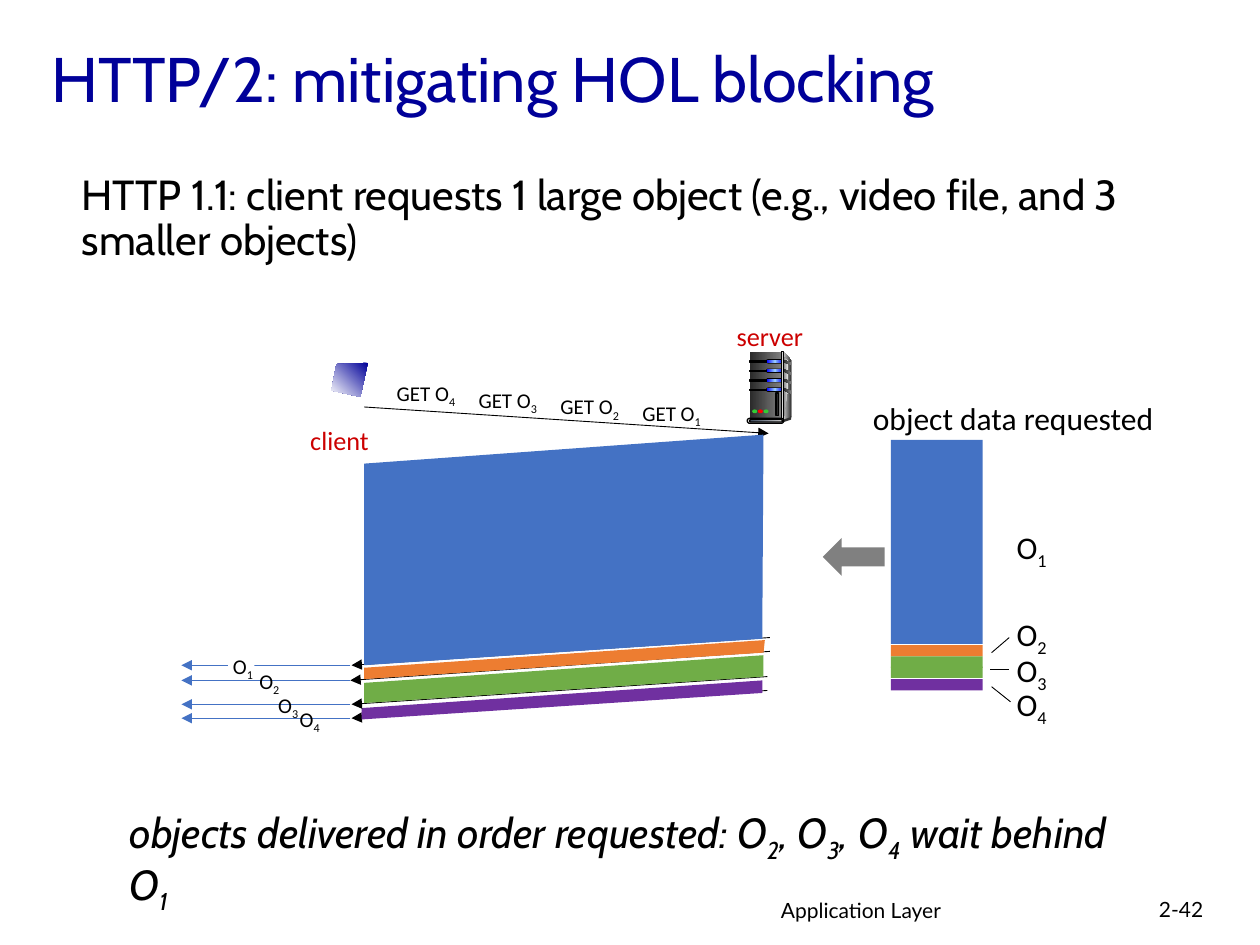
from dataclasses import dataclass
from typing import NamedTuple, Optional

from lxml.etree import SubElement
from pptx import Presentation
from pptx.dml.color import RGBColor
from pptx.enum.shapes import MSO_CONNECTOR, MSO_SHAPE
from pptx.enum.text import MSO_ANCHOR, MSO_AUTO_SIZE, PP_ALIGN
from pptx.oxml.ns import qn
from pptx.util import Inches, Pt


@dataclass(frozen=True)
class Theme:
    black: str = "000000"
    white: str = "FFFFFF"
    title: str = "000099"
    host: str = "CC0000"
    blue: str = "4472C4"
    orange: str = "ED7D31"
    green: str = "70AD47"
    purple: str = "7030A0"
    gray: str = "808080"
    metal: str = "DDDDDD"
    dark: str = "333333"
    coal: str = "292929"
    glow: tuple = ("0000FF", "99CCFF", "0000FF")
    heading: str = "Cabin"
    label: str = "Calibri"
    footer: str = "Lato"
    title_size: int = 36
    body_size: int = 24
    legend_size: int = 18
    host_size: int = 15
    small_size: int = 12


class Box(NamedTuple):
    """Left, top, width and height in grid cells."""
    left: float
    top: float
    width: float
    height: float


class Band(NamedTuple):
    """One object in transit: its arrow and its slanted outline."""
    color: str
    arrow: tuple
    outline: list


class Reply(NamedTuple):
    name: str
    line_row: float
    label_column: float


THEME = Theme()
COLUMNS, ROWS = 100, 75
WIDTH, HEIGHT = Inches(10), Inches(7.5)

presentation = Presentation()
presentation.slide_width, presentation.slide_height = WIDTH, HEIGHT
slide = presentation.slides.add_slide(presentation.slide_layouts[6])


def across(columns: float) -> int:
    return round(columns * WIDTH / COLUMNS)


def down(rows: float) -> int:
    return round(rows * HEIGHT / ROWS)


def place(box: Box) -> tuple:
    return across(box.left), down(box.top), across(box.width), down(box.height)


def paint(shape, colors, outline: Optional[str] = None, angle: float = 0) -> None:
    """Fill with one colour, or with a gradient of evenly spaced colours."""
    shape.shadow.inherit = False
    if isinstance(colors, str):
        shape.fill.solid()
        shape.fill.fore_color.rgb = RGBColor.from_string(colors)
    else:
        shape.fill.gradient()
        shape.fill.gradient_angle = angle
        stops = shape._element.spPr.find(qn("a:gradFill")).find(qn("a:gsLst"))
        for stop in list(stops):
            stops.remove(stop)
        for index, color in enumerate(colors):
            position = str(100000 * index // (len(colors) - 1))
            stop = SubElement(stops, qn("a:gs"), pos=position)
            SubElement(stop, qn("a:srgbClr"), val=color)
    if outline:
        shape.line.color.rgb = RGBColor.from_string(outline)
        shape.line.width = Pt(0.75)
    else:
        shape.line.fill.background()


def add_block(box: Box, colors, kind=MSO_SHAPE.RECTANGLE, outline: Optional[str] = None) -> None:
    shape = slide.shapes.add_shape(kind, *place(box))
    if kind == MSO_SHAPE.ROUNDED_RECTANGLE:
        shape.adjustments[0] = 0.5
    paint(shape, colors, outline)


def add_outline(points: list, colors, angle: float = 0) -> None:
    corners = [(across(x), down(y)) for x, y in points]
    builder = slide.shapes.build_freeform(*corners[0], scale=1.0)
    builder.add_line_segments(corners[1:], close=True)
    paint(builder.convert_to_shape(), colors, angle=angle)


def add_line(start: tuple, end: tuple, color: str = THEME.black, arrow: bool = True) -> None:
    connector = slide.shapes.add_connector(
        MSO_CONNECTOR.STRAIGHT, across(start[0]), down(start[1]), across(end[0]), down(end[1]))
    connector.line.color.rgb = RGBColor.from_string(color)
    connector.line.width = Pt(0.5)
    properties = connector._element.spPr
    if arrow:
        SubElement(properties.find(qn("a:ln")), qn("a:tailEnd"), type="triangle")
    SubElement(properties, qn("a:effectLst"))


def add_text(box: Box, text: str, size: int, font: str = THEME.label, color: str = THEME.black,
             wrap: bool = True, fit: bool = False):
    """Write one paragraph; the character after each underscore is a subscript."""
    frame = slide.shapes.add_textbox(*place(box)).text_frame
    frame.word_wrap = wrap
    frame.auto_size = MSO_AUTO_SIZE.SHAPE_TO_FIT_TEXT if fit else MSO_AUTO_SIZE.NONE
    paragraph = frame.paragraphs[0]
    paragraph.font.name, paragraph.font.size = font, Pt(size)
    paragraph.font.color.rgb = RGBColor.from_string(color)
    first, *others = text.split("_")
    paragraph.add_run().text = first
    for part in others:
        subscript = paragraph.add_run()
        subscript.text = part[0]
        subscript._r.get_or_add_rPr().set("baseline", "-25000")
        if part[1:]:
            paragraph.add_run().text = part[1:]
    return frame


def add_statement(box: Box, text: str, italic: bool = False) -> None:
    paragraph = add_text(box, text, THEME.body_size, THEME.heading).paragraphs[0]
    paragraph.line_spacing = 0.9
    paragraph.font.italic = italic
    paragraph._p.get_or_add_pPr().set("marL", str(Inches(0.11)))
    paragraph._p.get_or_add_pPr().set("indent", "0")


def add_host_name(box: Box, name: str) -> None:
    frame = add_text(box, name, THEME.host_size, color=THEME.host, wrap=False, fit=True)
    frame.paragraphs[0].alignment = PP_ALIGN.CENTER


def add_server() -> None:
    pill, disc, black = MSO_SHAPE.ROUNDED_RECTANGLE, MSO_SHAPE.OVAL, THEME.black
    shade = (THEME.coal, THEME.gray)
    add_outline([(62.2, 27.9), (62.8, 28.6), (62.8, 33.1), (62.1, 33.3)], (THEME.metal, THEME.dark))
    add_block(Box(59.5, 27.9, 2.6, 5.4), shade)
    add_outline([(62.2, 28.3), (62.6, 28.7), (62.5, 31), (62.2, 33.2)], (THEME.gray, "F8F8F8"))
    vents = [28.55 + 0.75 * index for index in range(4)]
    for top in vents:
        add_block(Box(59.5, top + 0.1, 1.5, 0.1), black, outline=black)
        add_block(Box(60.8, top - 0.05, 1.4, 0.35), black, pill)
        add_block(Box(60.85, top, 1.3, 0.25), THEME.glow, pill)
    add_block(Box(62, 27.9, 0.2, 5.4), (THEME.dark, THEME.metal, THEME.dark), outline=black)
    for top in vents:
        add_outline([(62.2, top), (62.8, top + 0.25), (62.8, top + 0.45), (62.2, top + 0.2)], shade)
    add_block(Box(62.7, 33, 0.1, 0.2), THEME.dark, disc)
    add_outline([(62.2, 33.3), (62.2, 33.5), (62.8, 33.3), (62.8, 33.1)], THEME.dark)
    add_block(Box(59.3, 33.2, 2.9, 0.4), THEME.metal, pill, black)
    add_block(Box(59.5, 33.3, 2.6, 0.2), ("44546A", "E7E6E6"), pill, black)
    for index, color in enumerate(("33CC33", "FF0000", "33CC33")):
        add_block(Box(59.7 + 0.45 * index, 32.5, 0.4, 0.3), color, disc)
    add_block(Box(61.6, 31.2, 0.2, 1.8), THEME.coal, outline=black)


BANDS = [
    Band(THEME.blue, ((61.1, 50.6), (27.9, 52.8)),
         [(60.6, 34.5), (28.9, 36.8), (28.9, 52.8), (60.5, 50.7)]),
    Band(THEME.orange, ((61.1, 51.7), (27.8, 54)),
         [(60.7, 50.8), (28.9, 53), (28.9, 53.9), (60.6, 51.8)]),
    Band(THEME.purple, ((60.9, 54.8), (27.9, 57)),
         [(60.5, 54), (28.7, 56.2), (28.7, 57.1), (60.5, 55)]),
    Band(THEME.green, ((60.9, 53.7), (27.9, 55.9)),
         [(60.6, 52), (28.9, 54.2), (28.9, 55.8), (60.6, 53.7)]),
]
REPLIES = [Reply("O_1", 52.8, 17.5), Reply("O_2", 54, 19.6),
           Reply("O_3", 55.9, 21.1), Reply("O_4", 57, 22.8)]
STACK = [(34.9, 16.2, THEME.blue), (51.2, 0.9, THEME.orange), (52.1, 0.9, THEME.green),
         (52.9, 0.9, THEME.green), (53.9, 0.9, THEME.purple)]
LEGEND_ROWS = [41.4, 48.3, 51.2, 53.9]
LEADERS = [((78.7, 51.8), (80.1, 50.6)), ((78.6, 53.1), (80.1, 53.1)), ((78.7, 54.5), (80.2, 55.7))]

title = add_text(Box(3.1, 2.1, 87.1, 8.1), "HTTP/2: mitigating HOL blocking",
                 THEME.title_size, THEME.heading, THEME.title)
title.vertical_anchor = MSO_ANCHOR.MIDDLE
add_statement(Box(4.4, 13.3, 92.4, 6.8),
              "HTTP 1.1: client requests 1 large object (e.g., video file, and 3 smaller objects)")

add_host_name(Box(23.6, 33.2, 6.7, 3.5), "client")
add_host_name(Box(57.4, 24.9, 7.4, 3.5), "server")
add_server()
add_outline([(29.2, 28.8), (26.7, 28.9), (26.3, 31), (28.6, 31.5)], (THEME.title, THEME.white), 225)

add_line((28.9, 32.3), (61, 34.4))
for index in range(4):
    add_text(Box(50 - 6.5 * index, 31.3 - 0.53 * index, 7.3, 3), f"GET O_{index + 1}",
             THEME.small_size, fit=True)

for band in BANDS:
    add_line(*band.arrow)
    add_outline(band.outline, band.color)

for index, reply in enumerate(REPLIES):
    add_line((27.8, reply.line_row), (14.4, reply.line_row), THEME.blue)
    if index == 0:
        add_block(Box(18.1, 51.8, 2.1, 1.9), THEME.white)
    add_text(Box(reply.label_column, reply.line_row - 1.45, 3.8, 3), reply.name,
             THEME.small_size, fit=True)

for top, height, color in STACK:
    add_block(Box(70.7, top, 7.3, height), color)
add_text(Box(68.3, 31.2, 26.4, 4), "object data requested", THEME.legend_size, fit=True)
add_block(Box(65.3, 42.7, 4.9, 3), THEME.gray, MSO_SHAPE.LEFT_ARROW)
for number, row in enumerate(LEGEND_ROWS, 1):
    add_text(Box(79.7, row, 5.9, 4), f"O_{number}", THEME.legend_size, fit=True)
for start, end in LEADERS:
    add_line(start, end, arrow=False)

add_statement(Box(8.2, 63.6, 82, 4.8),
              "objects delivered in order requested: O_2, O_3, O_4 wait behind O_1", italic=True)
add_text(Box(61, 70.7, 31.7, 3.1), "Application Layer", THEME.small_size, THEME.footer)
add_text(Box(91, 70.7, 7.4, 3), "2-42", THEME.small_size, THEME.footer)

presentation.save("out.pptx")
